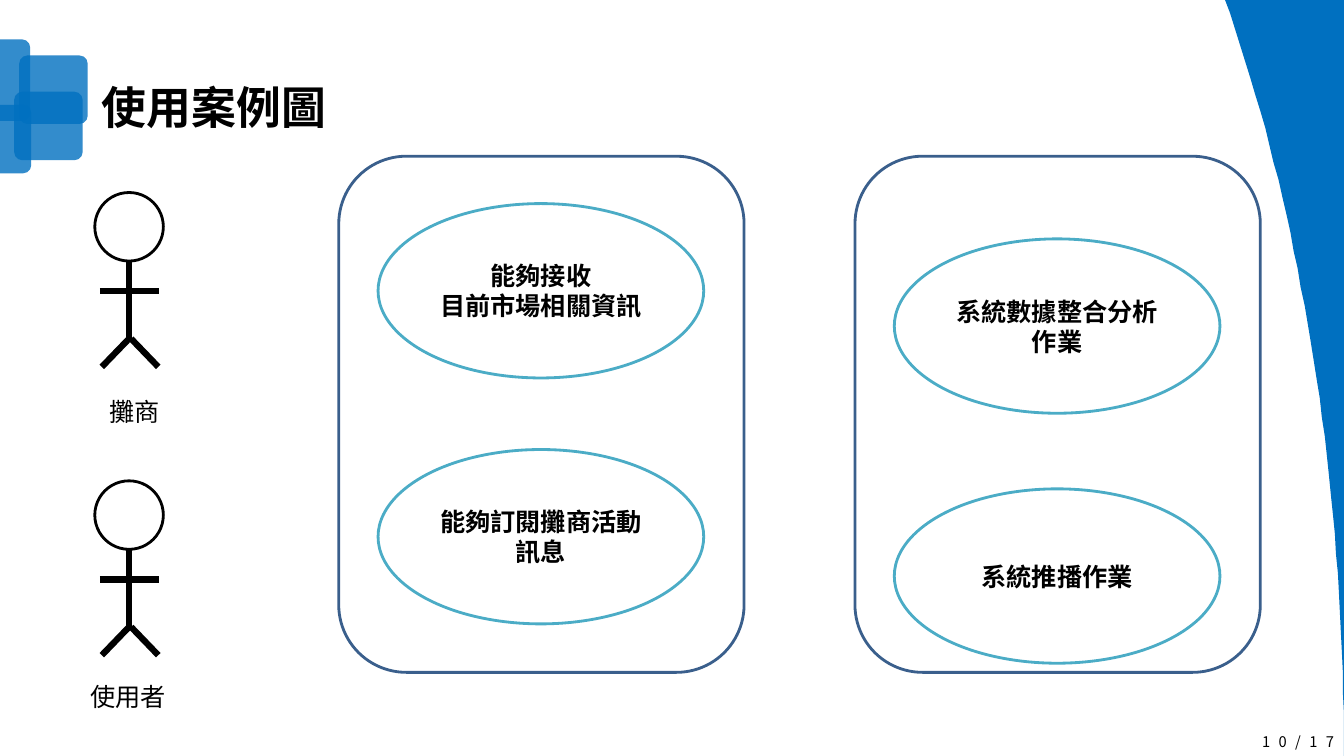
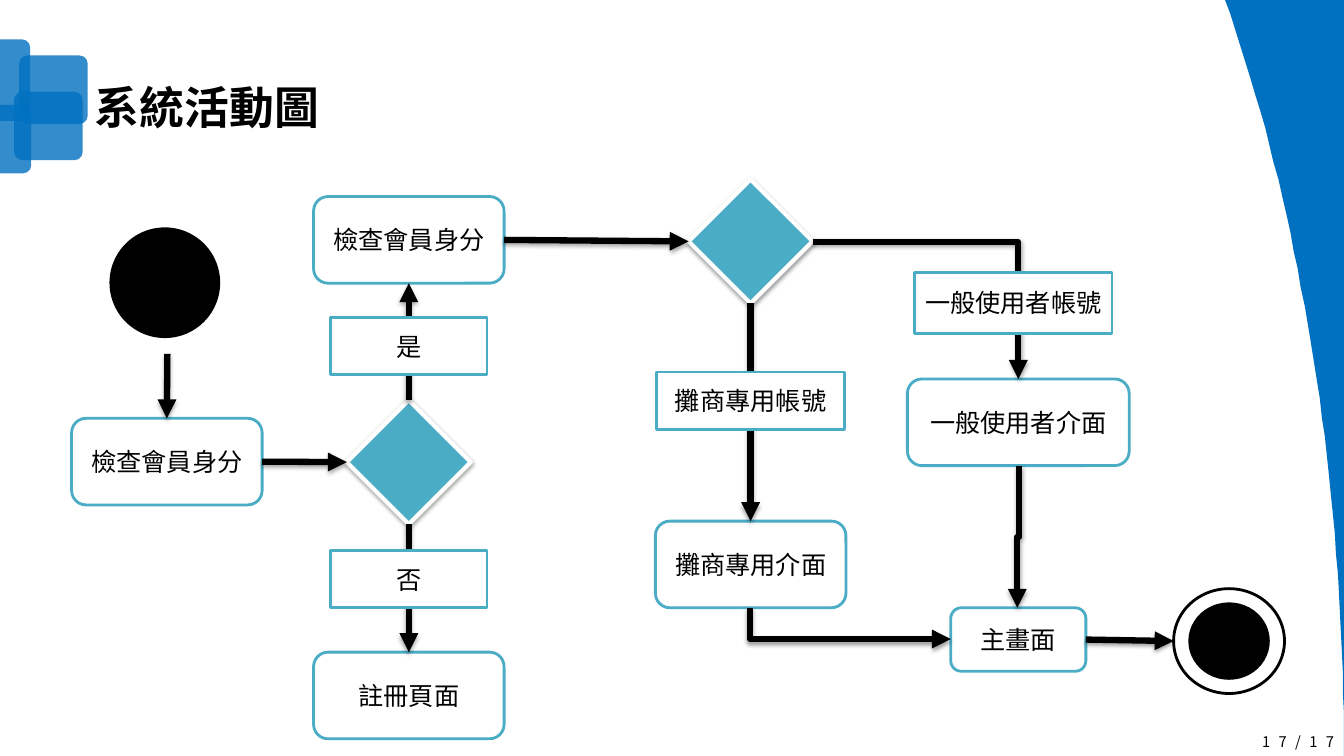
"""Build a use case slide and a system activity slide with a shared frame."""
from lxml import etree
from pptx import Presentation
from pptx import util as u
from pptx.dml.color import RGBColor
from pptx.enum import shapes as kinds, text as styles
from pptx.oxml.ns import qn

PX = 9144
WIDTH, HEIGHT = 1333, 750
BLUE, NAVY, TEAL = "0070C0", "3A5F8C", "4BACC6"
BLACK, WHITE = "000000", "FFFFFF"
LATIN, CJK = "Calibri", "Noto Sans CJK SC"
TOP, LEFT, BOTTOM, RIGHT = range(4)
SOFT, FIRM = (35, 23000), (38, 20000)

KIND = kinds.MSO_SHAPE
ROUND, RECT = KIND.ROUNDED_RECTANGLE, KIND.RECTANGLE
OVAL, DIAMOND = KIND.OVAL, KIND.DIAMOND

TILES = [(-38, 39, 68, 81), (19, 55, 68, 68), (14, 91, 68, 68), (-37, 104, 68, 68)]
CURVE = [(WIDTH, HEIGHT), (WIDTH, 477), (1291, 223), (1220, 13)]
CURVE_STEPS = 40

SYSTEM_TOP, SYSTEM_SIZE = 155, (402, 512)
CASE_INSET, CASE_SIZE = 39, (323, 173)
SYSTEMS = [
    (336, [(202, ["能夠接收", "目前市場相關資訊"]), (446, ["能夠訂閱攤商活動訊息"])]),
    (848, [(237, ["系統數據整合分析作業"]), (485, ["系統推播作業"])]),
]
ACTOR_LEFT, HEAD = 94, 68
ACTORS = [(191, "攤商", (99, 388, 71, 40)), (477, "使用者", (80, 671, 96, 40))]
LIMBS = [((5, 98), (64, 98)), ((34, 68), (34, 148)),
         ((34, 145), (7, 173)), ((36, 145), (63, 173))]

STEPS = {
    "check": ("檢查會員身分", (71, 415, 189, 86)),
    "register": ("註冊頁面", (311, 647, 189, 86)),
    "member": ("檢查會員身分", (311, 195, 189, 86)),
    "vendor": ("攤商專用介面", (650, 517, 189, 86)),
    "user": ("一般使用者介面", (900, 376, 220, 86)),
    "main": ("主畫面", (943, 603, 134, 63)),
}
DECISIONS = {"is_member": (344, 397, 123, 123), "account": (683, 178, 123, 123)}
STRAIGHT_ARROWS = [
    (("check", RIGHT), ("is_member", LEFT), SOFT),
    ((166, 351), ("check", TOP), SOFT),
    (("is_member", BOTTOM), ("register", TOP), SOFT),
    (("is_member", TOP), ("member", BOTTOM), SOFT),
    (("member", RIGHT), ("account", LEFT), SOFT),
    (("account", BOTTOM), ("vendor", TOP), SOFT),
    (("main", RIGHT), (1164, 636), FIRM),
]
BENT_ARROWS = [
    ((806, 240), (1010, 376), "bentConnector2", 0, False, SOFT),
    ((1011, 462), (1009, 603), "bentConnector3", 90, False, FIRM),
    ((744, 603), (943, 634), "bentConnector2", 270, True, FIRM),
]
LABELS = [
    ("是", (328, 315, 155, 57)), ("否", (328, 546, 155, 57)),
    ("一般使用者帳號", (907, 270, 196, 61)), ("攤商專用帳號", (651, 369, 187, 57)),
]
START_DISC = (110, 227, 107, 107)
END_RING, END_DISC = (1164, 584, 110, 104), (1180, 599, 78, 74)


def px(*lengths):
    return [u.Emu(round(length * PX)) for length in lengths]


def color(value):
    return RGBColor.from_string(value)


def set_shadow(shape, shadow=None):
    properties = shape.element.spPr
    effects = properties.find(qn("a:effectLst"))
    if effects is None:
        effects = etree.SubElement(properties, qn("a:effectLst"))
    if shadow:
        opacity, distance = shadow
        outer = etree.SubElement(effects, qn("a:outerShdw"), blurRad="40000",
                                 dist=str(distance), dir="5400000", rotWithShape="0")
        black = etree.SubElement(outer, qn("a:srgbClr"), val=BLACK)
        etree.SubElement(black, qn("a:alpha"), val=str(opacity * 1000))


def paint(shape, fill=None, line=None, width=2, shadow=None):
    shape.shadow.inherit = False
    if fill:
        shape.fill.solid()
        shape.fill.fore_color.rgb = color(fill)
    else:
        shape.fill.background()
    if line:
        shape.line.color.rgb = color(line)
        shape.line.width = u.Pt(width)
    else:
        shape.line.fill.background()
    set_shadow(shape, shadow)
    return shape


def write(shape, lines, size=18, bold=False, align=styles.PP_ALIGN.CENTER,
          font=LATIN, wrap=True, anchor=styles.MSO_ANCHOR.MIDDLE):
    frame = shape.text_frame
    frame.word_wrap = wrap
    frame.vertical_anchor = anchor
    for index, line in enumerate(lines):
        paragraph = frame.add_paragraph() if index else frame.paragraphs[0]
        paragraph.alignment = align
        run = paragraph.add_run()
        run.text = line
        run.font.name = font
        run.font.size = u.Pt(size)
        run.font.bold = bold
        run.font.color.rgb = color(BLACK)
    return frame.paragraphs[0]


def add_line(shapes, start, end, kind=kinds.MSO_CONNECTOR.STRAIGHT, arrow=False, shadow=None):
    connector = shapes.add_connector(kind, *px(*start, *end))
    connector.line.color.rgb = color(BLACK)
    connector.line.width = u.Pt(4.5)
    if arrow:
        etree.SubElement(connector.element.spPr.find(qn("a:ln")), qn("a:tailEnd"), type="triangle")
    set_shadow(connector, shadow)
    return connector


def add_bent_arrow(shapes, start, end, preset, rotation, flip, shadow):
    middle_x, middle_y = (start[0] + end[0]) / 2, (start[1] + end[1]) / 2
    half_x, half_y = abs(end[0] - start[0]) / 2, abs(end[1] - start[1]) / 2
    if rotation:
        half_x, half_y = half_y, half_x
    if flip:
        half_x = -half_x
    connector = add_line(shapes, (middle_x - half_x, middle_y - half_y),
                         (middle_x + half_x, middle_y + half_y),
                         kinds.MSO_CONNECTOR.ELBOW, True, shadow)
    connector.element.spPr.find(qn("a:prstGeom")).set("prst", preset)
    connector.rotation = rotation


def curve_point(t):
    weights = ((1 - t) ** 3, 3 * t * (1 - t) ** 2, 3 * t * t * (1 - t), t ** 3)
    return tuple(sum(weight * point[axis] for weight, point in zip(weights, CURVE))
                 for axis in (0, 1))


def decorate(layout, slide):
    decorations = []
    for tile in TILES:
        shape = paint(slide.shapes.add_shape(ROUND, *px(*tile)), BLUE)
        shape.adjustments[0] = 0.12
        fill = shape.element.spPr.find(qn("a:solidFill"))
        etree.SubElement(fill[0], qn("a:alpha"), val="80000")
        decorations.append(shape)
    builder = slide.shapes.build_freeform(1215, 0, scale=PX)
    edge = [curve_point(step / CURVE_STEPS) for step in range(CURVE_STEPS + 1)]
    builder.add_line_segments([(WIDTH, 0)] + edge, close=True)
    decorations.append(paint(builder.convert_to_shape(), BLUE))
    for shape in decorations:
        layout.shapes.element.append(shape.element)


def add_slide(presentation, layout, heading, heading_left, number):
    slide = presentation.slides.add_slide(layout)
    title = slide.shapes.title
    title.left, title.top, title.width, title.height = px(heading_left, 79, 628, 60)
    title.text_frame.auto_size = styles.MSO_AUTO_SIZE.NONE
    paragraph = write(title, [heading], 32, True, styles.PP_ALIGN.LEFT)
    paragraph.line_spacing = 0.9
    footer = slide.shapes.add_textbox(*px(1223, 721, 110, 29))
    paragraph = write(footer, [number], 10.5, align=styles.PP_ALIGN.RIGHT, font=CJK)
    paragraph.runs[0].font.element.set("spc", "600") if hasattr(
        paragraph.runs[0].font, "element") else paragraph.runs[0]._r.get_or_add_rPr().set("spc", "600")
    return slide


def fill_use_cases(slide):
    for left, cases in SYSTEMS:
        paint(slide.shapes.add_shape(ROUND, *px(left, SYSTEM_TOP, *SYSTEM_SIZE)), line=NAVY)
        for top, lines in cases:
            case = slide.shapes.add_shape(OVAL, *px(left + CASE_INSET, top, *CASE_SIZE))
            write(paint(case, WHITE, TEAL), lines, bold=True)
    for top, name, name_box in ACTORS:
        actor = slide.shapes.add_group_shape()
        head = actor.shapes.add_shape(OVAL, *px(ACTOR_LEFT, top, HEAD, HEAD))
        paint(head, WHITE, BLACK)
        for limb in LIMBS:
            start, end = [(ACTOR_LEFT + x, top + y) for x, y in limb]
            add_line(actor.shapes, start, end)
        write(slide.shapes.add_textbox(*px(*name_box)), [name], wrap=False,
              align=styles.PP_ALIGN.LEFT, anchor=styles.MSO_ANCHOR.TOP)


def fill_activity(slide):
    nodes = {}
    for name, (label, box) in STEPS.items():
        nodes[name] = paint(slide.shapes.add_shape(ROUND, *px(*box)), WHITE, TEAL)
        write(nodes[name], [label])
    for name, box in DECISIONS.items():
        nodes[name] = paint(slide.shapes.add_shape(DIAMOND, *px(*box)), TEAL, WHITE, 3, FIRM)
    for start, end, shadow in STRAIGHT_ARROWS:
        joined_start, joined_end = start[0] in nodes, end[0] in nodes
        connector = add_line(slide.shapes, (0, 0) if joined_start else start,
                             (0, 0) if joined_end else end, arrow=True, shadow=shadow)
        if joined_start:
            connector.begin_connect(nodes[start[0]], start[1])
        if joined_end:
            connector.end_connect(nodes[end[0]], end[1])
    for arrow in BENT_ARROWS:
        add_bent_arrow(slide.shapes, *arrow)
    for label, box in LABELS:
        write(paint(slide.shapes.add_shape(RECT, *px(*box)), WHITE, TEAL), [label])
    paint(slide.shapes.add_shape(OVAL, *px(*START_DISC)), BLACK, BLACK)
    final = slide.shapes.add_group_shape()
    paint(final.shapes.add_shape(OVAL, *px(*END_RING)), line=BLACK)
    paint(final.shapes.add_shape(OVAL, *px(*END_DISC)), BLACK, BLACK)


def main():
    presentation = Presentation()
    presentation.slide_width, presentation.slide_height = px(WIDTH, HEIGHT)
    layout = presentation.slide_layouts.get_by_name("Title Only")
    use_cases = add_slide(presentation, layout, "使用案例圖", 91, "10/17")
    decorate(layout, use_cases)
    fill_use_cases(use_cases)
    activity = add_slide(presentation, layout, "系統活動圖", 84, "17/17")
    fill_activity(activity)
    presentation.save("out.pptx")


if __name__ == "__main__":
    main()
